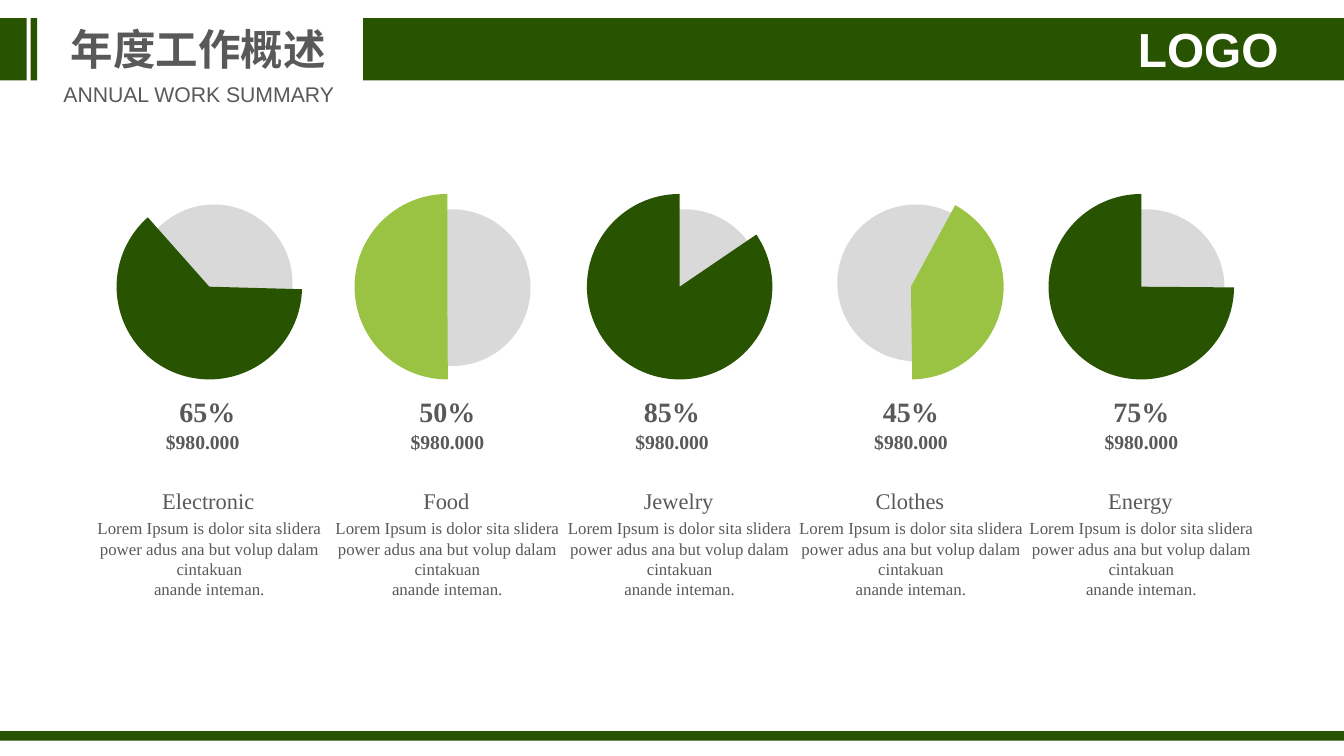
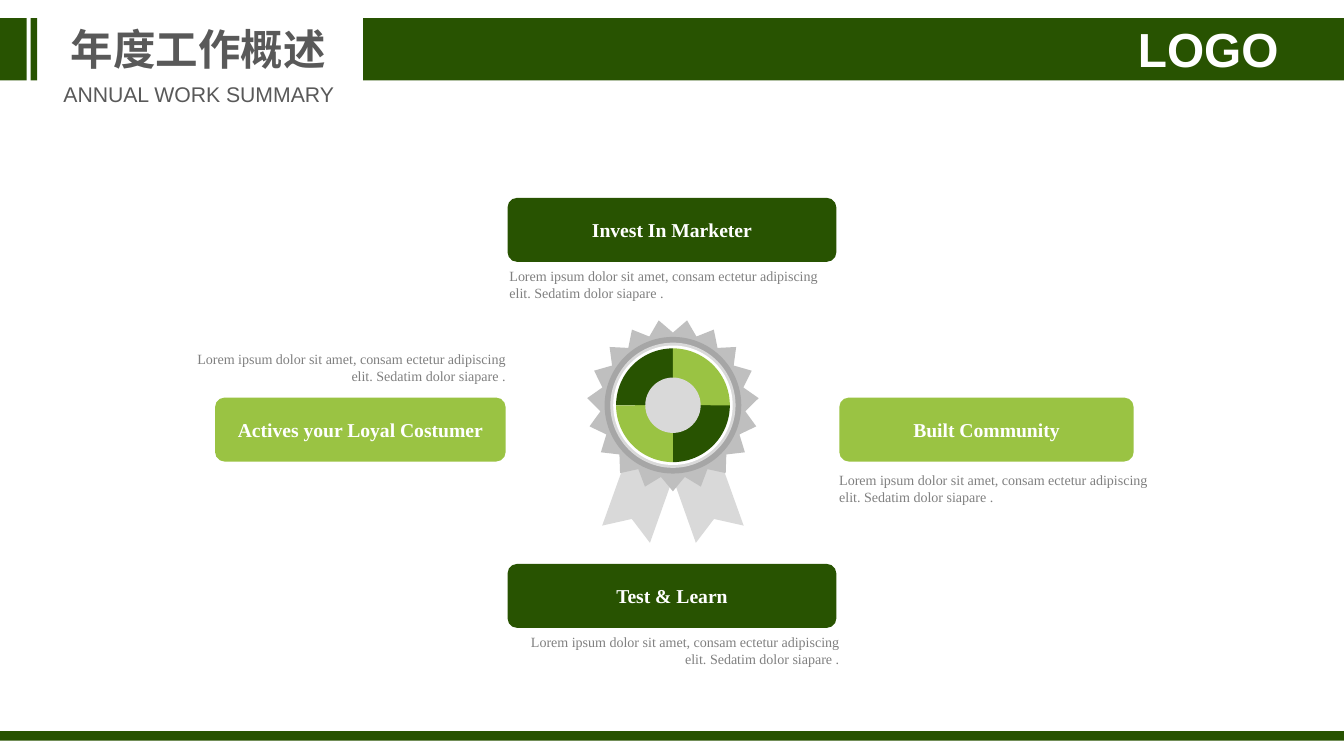
import math
from dataclasses import dataclass

from pptx import Presentation
from pptx.dml.color import RGBColor
from pptx.enum.shapes import MSO_SHAPE
from pptx.enum.text import MSO_ANCHOR, MSO_AUTO_SIZE, PP_ALIGN
from pptx.util import Inches, Pt

RECTANGLE, ROUNDED = MSO_SHAPE.RECTANGLE, MSO_SHAPE.ROUNDED_RECTANGLE
OVAL, PIE = MSO_SHAPE.OVAL, MSO_SHAPE.PIE
LEFT, CENTER, RIGHT = PP_ALIGN.LEFT, PP_ALIGN.CENTER, PP_ALIGN.RIGHT
MIDDLE = MSO_ANCHOR.MIDDLE
GROW = MSO_AUTO_SIZE.SHAPE_TO_FIT_TEXT

SLIDE_WIDTH, SLIDE_HEIGHT = 14.06, 7.91
HEADING_FONT, BODY_FONT = "Arial", "Times New Roman"
COLORS = {
    "dark": "285301",
    "light": "9AC343",
    "text": "595959",
    "note": "808080",
    "pale": "D9D9D9",
    "rosette": "BFBFBF",
    "ring": "A6A6A6",
    "white": "FFFFFF",
}
CATEGORY_TEXT = ("Lorem Ipsum is dolor sita slidera power adus ana but volup dalam cintakuan\n"
                 "anande inteman.")
NOTE_TEXT = "Lorem ipsum dolor sit amet, consam ectetur adipiscing elit. Sedatim dolor siapare ."


@dataclass
class Category:
    name: str
    percent: str
    color: str
    center: float
    percent_center: float
    amount_center: float
    circle_top: float
    start: float
    end: float


CATEGORIES = [
    Category("Electronic", "65%", "dark", 2.19, 2.17, 2.12, 2.14, 1.56, 228.44),
    Category("Food", "50%", "light", 4.68, 4.68, 4.68, 2.19, 89.66, 270),
    Category("Jewelry", "85%", "dark", 7.11, 7.03, 7.03, 2.19, 325.81, 270),
    Category("Clothes", "45%", "light", 9.53, 9.53, 9.53, 2.14, 298.5, 89.19),
    Category("Energy", "75%", "dark", 11.94, 11.94, 11.94, 2.19, 0.45, 270),
]
# Label, colour, left, top, width
BUTTONS = [
    ("Invest In Marketer", "dark", 5.31, 2.07, 3.44),
    ("Built Community", "light", 8.78, 4.16, 3.08),
    ("Actives your Loyal Costumer", "light", 2.25, 4.16, 3.04),
    ("Test & Learn", "dark", 5.31, 5.9, 3.44),
]
# Left, top, alignment
NOTES = [(8.78, 4.93, LEFT), (5.33, 2.8, LEFT), (5.34, 6.63, RIGHT), (1.85, 3.67, RIGHT)]

BADGE_X, BADGE_Y = 7.04, 4.24
TEETH, TIP_RADIUS, NOTCH_RADIUS = 19, 0.9, 0.76
RIBBON = [(-0.74, 1.26), (-0.41, 0.34), (0.09, 0.51), (-0.24, 1.44), (-0.43, 1.19)]
BADGE_RINGS = [("ring", 1.43), ("pale", 1.31), ("white", 1.25)]


def paint(shape, color):
    shape.shadow.inherit = False
    shape.fill.solid()
    shape.fill.fore_color.rgb = RGBColor.from_string(COLORS[color])
    shape.line.fill.background()


def add_block(slide, kind, left, top, width, height, color):
    shape = slide.shapes.add_shape(kind, Inches(left), Inches(top), Inches(width), Inches(height))
    paint(shape, color)
    return shape


def add_disc(slide, center_x, center_y, diameter, color, kind=OVAL):
    return add_block(slide, kind, center_x - diameter / 2, center_y - diameter / 2,
                     diameter, diameter, color)


def add_sector(slide, center_x, center_y, diameter, color, start, end):
    """Add a pie sector running clockwise between two angles in degrees."""
    sector = add_disc(slide, center_x, center_y, diameter, color, PIE)
    for index, angle in enumerate((start, end)):
        sector.adjustments[index] = angle * 0.6  # 60000 units per degree, over 100000


def add_outline(slide, offsets, color):
    """Add a polygon from points given relative to the badge centre."""
    points = [(Inches(BADGE_X + x), Inches(BADGE_Y + y)) for x, y in offsets]
    builder = slide.shapes.build_freeform(*points[0])
    builder.add_line_segments(points[1:])
    paint(builder.convert_to_shape(), color)


def style_text(text_frame, text, size, color, font=BODY_FONT, bold=False, align=CENTER,
               line_spacing=None):
    text_frame.text = text
    for paragraph in text_frame.paragraphs:
        paragraph.alignment = align
        paragraph.line_spacing = line_spacing
        paragraph.font.name = font
        paragraph.font.size = Pt(size)
        paragraph.font.bold = bold
        paragraph.font.color.rgb = RGBColor.from_string(COLORS[color])


def add_text(slide, left, top, width, height, text, size, color, wrap=True, padded=True, **style):
    box = slide.shapes.add_textbox(Inches(left), Inches(top), Inches(width), Inches(height))
    text_frame = box.text_frame
    text_frame.word_wrap = wrap
    text_frame.auto_size = GROW
    if not padded:
        text_frame.margin_left = text_frame.margin_right = 0
        text_frame.margin_top = text_frame.margin_bottom = 0
    style_text(text_frame, text, size, color, **style)


def add_frame(slide):
    """Add the bands, title and corner label that every slide carries."""
    for left, width in ((3.8, 10.26), (0, 0.28), (0.32, 0.07)):
        add_block(slide, RECTANGLE, left, 0.19, width, 0.65, "dark")
    add_block(slide, RECTANGLE, 0, 7.65, SLIDE_WIDTH, 0.1, "dark")
    add_text(slide, 0.63, 0.19, 2.89, 0.64, "年度工作概述", 32, "text",
             wrap=False, font=HEADING_FONT, bold=True)
    add_text(slide, 11.6, 0.21, 2.08, 0.61, "LOGO", 36, "white",
             padded=False, font=HEADING_FONT, bold=True)
    add_text(slide, 0.55, 0.8, 3.06, 0.37, "ANNUAL WORK SUMMARY", 16, "text",
             wrap=False, font=HEADING_FONT)


def add_category(slide, category):
    center = category.center
    add_block(slide, OVAL, center - 0.77, category.circle_top, 1.64, 1.64, "pale")
    add_sector(slide, center, 3, 1.94, category.color, category.start, category.end)
    add_text(slide, category.percent_center - 0.42, 4.17, 0.84, 0.36, category.percent,
             21.1, "text", bold=True, line_spacing=0.7)
    add_text(slide, category.amount_center - 0.49, 4.45, 0.98, 0.35, "$980.000",
             14.8, "text", wrap=False, bold=True)
    add_text(slide, center - 0.6, 5.05, 1.18, 0.38, category.name, 16.9, "text", wrap=False)
    add_text(slide, center - 1.37, 5.37, 2.74, 0.95, CATEGORY_TEXT, 12.7, "text")


def add_button(slide, label, color, left, top, width):
    button = add_block(slide, ROUNDED, left, top, width, 0.67, color)
    button.adjustments[0] = 0.15
    button.text_frame.word_wrap = True
    button.text_frame.vertical_anchor = MIDDLE
    style_text(button.text_frame, label, 14.8, "white", bold=True)


def rosette_offsets():
    """Alternate notches and tips around the badge, starting from a notch at the top."""
    for step in range(2 * TEETH):
        angle = math.pi * step / TEETH
        radius = TIP_RADIUS if step % 2 else NOTCH_RADIUS
        yield radius * math.sin(angle), -radius * math.cos(angle)


def add_badge(slide):
    for side in (1, -1):
        add_outline(slide, [(side * x, y) for x, y in RIBBON], "pale")
    add_outline(slide, rosette_offsets(), "rosette")
    for color, diameter in BADGE_RINGS:
        add_disc(slide, BADGE_X, BADGE_Y, diameter, color)
    for quarter in range(4):
        start = 90 * quarter
        add_sector(slide, BADGE_X, BADGE_Y, 1.19, "light" if quarter % 2 else "dark",
                   start, (start + 90) % 360)
    add_disc(slide, BADGE_X, BADGE_Y, 0.58, "pale")


def add_categories_slide(slide):
    for category in CATEGORIES:
        add_category(slide, category)


def add_badge_slide(slide):
    for button in BUTTONS:
        add_button(slide, *button)
    for left, top, align in NOTES:
        add_text(slide, left, top, 3.44, 0.36, NOTE_TEXT, 10.6, "note", padded=False, align=align)
    add_badge(slide)


def main():
    presentation = Presentation()
    presentation.slide_width = Inches(SLIDE_WIDTH)
    presentation.slide_height = Inches(SLIDE_HEIGHT)
    blank_layout = presentation.slide_layouts[6]
    for add_content in (add_categories_slide, add_badge_slide):
        slide = presentation.slides.add_slide(blank_layout)
        add_content(slide)
        add_frame(slide)
    presentation.save("out.pptx")


if __name__ == "__main__":
    main()
